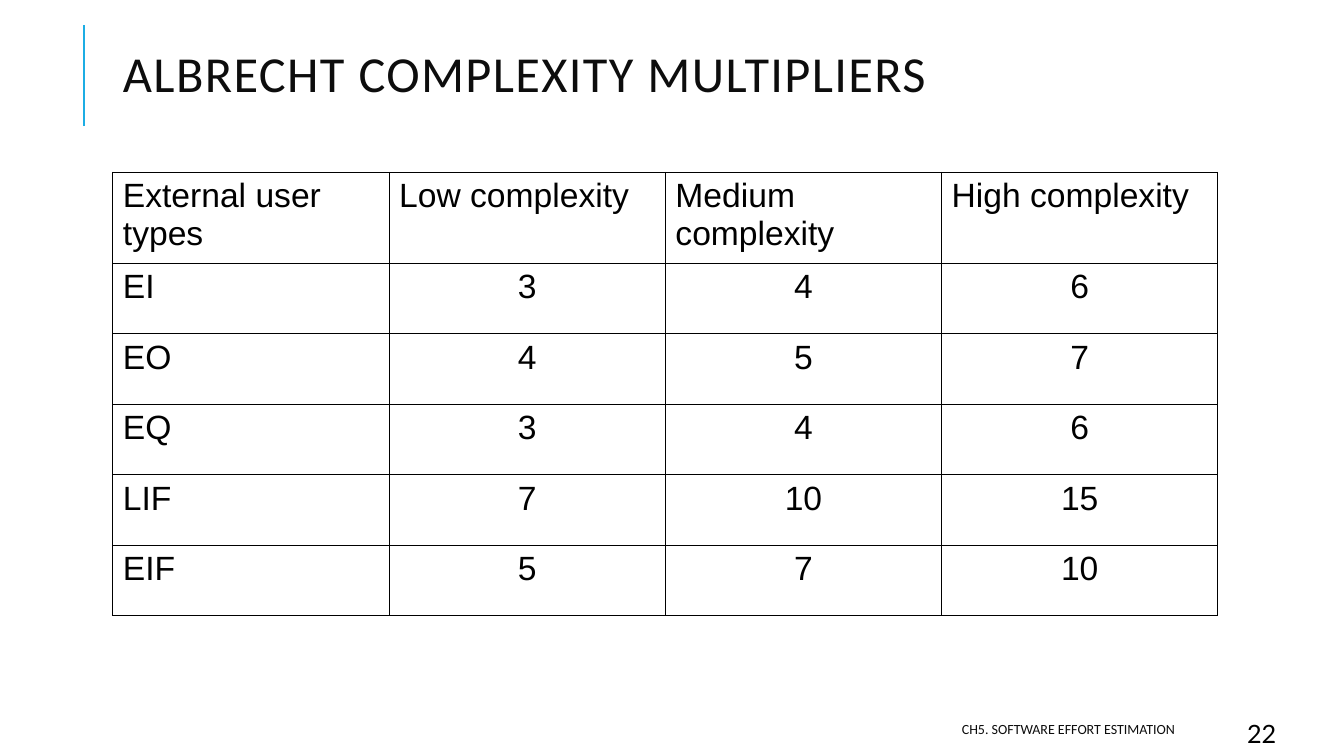
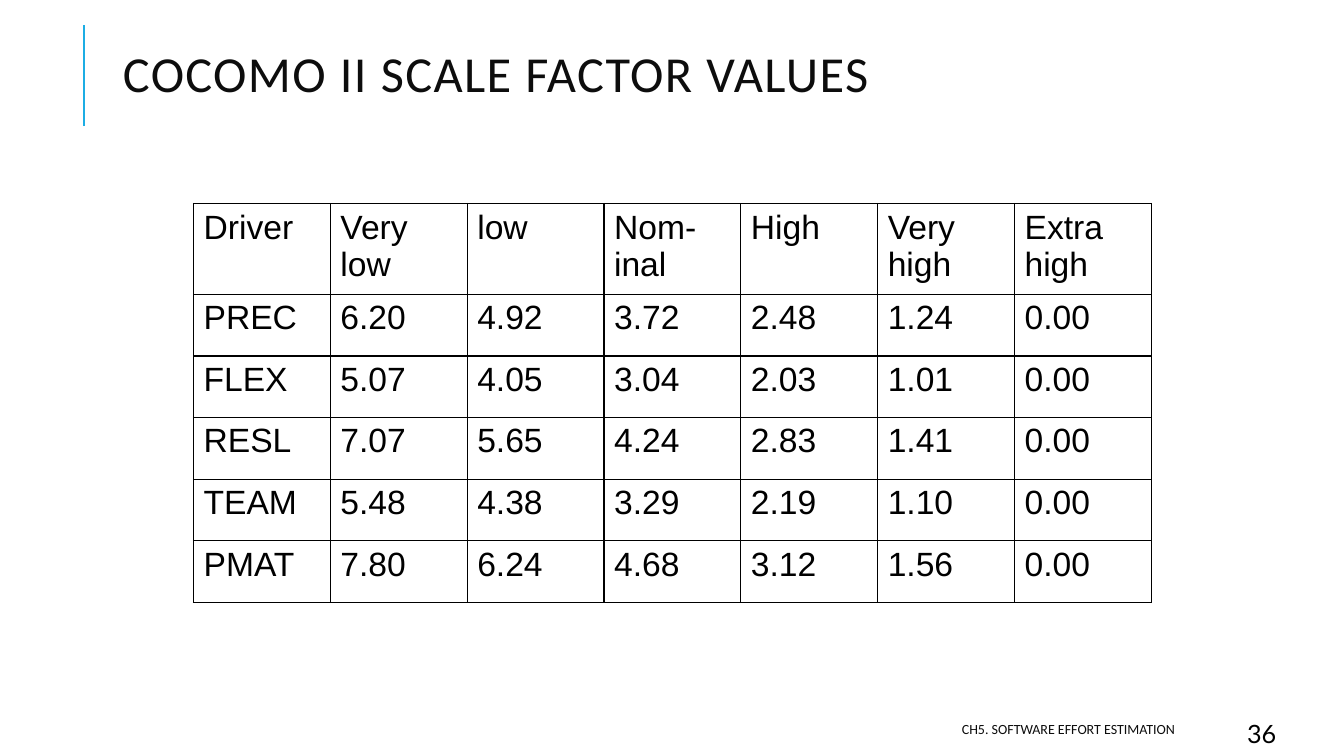
"""Build two slides of software effort estimation tables."""
from lxml import etree
from pptx import Presentation
from pptx.dml.color import RGBColor
from pptx.enum.shapes import MSO_CONNECTOR
from pptx.enum.text import MSO_ANCHOR, MSO_AUTO_SIZE, PP_ALIGN
from pptx.oxml.ns import qn
from pptx.util import Inches, Pt

LEFT, CENTER, RIGHT = PP_ALIGN.LEFT, PP_ALIGN.CENTER, PP_ALIGN.RIGHT
TOP, MIDDLE = MSO_ANCHOR.TOP, MSO_ANCHOR.MIDDLE
NO_FIT = MSO_AUTO_SIZE.NONE
STRAIGHT = MSO_CONNECTOR.STRAIGHT

BLACK = RGBColor(0x00, 0x00, 0x00)
WHITE = RGBColor(0xFF, 0xFF, 0xFF)
INK = RGBColor(0x0D, 0x0D, 0x0D)
ACCENT = RGBColor(0x1C, 0xAD, 0xE4)

FOOTER = "CH5. SOFTWARE EFFORT ESTIMATION"
COMPLEXITY = [
    ["External user types", "Low complexity", "Medium complexity", "High complexity"],
    ["EI", "3", "4", "6"],
    ["EO", "4", "5", "7"],
    ["EQ", "3", "4", "6"],
    ["LIF", "7", "10", "15"],
    ["EIF", "5", "7", "10"],
]
SCALE_FACTORS = [
    ["Driver", "Very low", "low", "Nom-inal", "High", "Very high", "Extra high"],
    ["PREC", "6.20", "4.92", "3.72", "2.48", "1.24", "0.00"],
    ["FLEX", "5.07", "4.05", "3.04", "2.03", "1.01", "0.00"],
    ["RESL", "7.07", "5.65", "4.24", "2.83", "1.41", "0.00"],
    ["TEAM", "5.48", "4.38", "3.29", "2.19", "1.10", "0.00"],
    ["PMAT", "7.80", "6.24", "4.68", "3.12", "1.56", "0.00"],
]


class Deck:
    """Hold the style and current slide; lengths are percent of the slide."""

    FONTS = {
        "title": {"name": "Calibri", "size": Pt(36), "color": INK},
        "footer": {"name": "Calibri", "size": Pt(10), "color": INK},
        "number": {"name": "Lato", "size": Pt(18), "color": BLACK},
        "cell": {"name": "Arial", "size": Pt(24), "color": BLACK},
    }

    def __init__(self):
        """Start an empty wide presentation."""
        self.prs = Presentation()
        self.prs.slide_width, self.prs.slide_height = Inches(13.33), Inches(7.5)
        self.slide = None

    def x(self, share):
        """Turn a percentage of the width into a length."""
        return round(self.prs.slide_width * share / 100)

    def y(self, share):
        """Turn a percentage of the height into a length."""
        return round(self.prs.slide_height * share / 100)

    def box(self, left, top, width, height):
        """Turn four percentages into a position and size."""
        return self.x(left), self.y(top), self.x(width), self.y(height)

    def add_text(self, tf, text, style, align=LEFT):
        """Fill one styled paragraph and return its paragraph and run."""
        p = tf.paragraphs[0]
        p.alignment = align
        r = p.add_run()
        r.text = text
        for name, value in self.FONTS[style].items():
            if name == "color":
                r.font.color.rgb = value
            else:
                setattr(r.font, name, value)
        return p, r

    def add_slide(self, title, number):
        """Add a slide with its title, accent line, footer and number."""
        self.slide = self.prs.slides.add_slide(self.prs.slide_layouts[5])
        self.accent_line(6.23, 3.33, 16.67)
        self.title(title)
        self.text(FOOTER, "footer", (39.76, 94.4, 48.39, 4), RIGHT, MIDDLE)
        self.text(str(number), "number", (92.05, 94.4, 7.95, 4))

    def accent_line(self, left, top, bottom):
        """Draw the vertical line beside the title."""
        sp = self.slide.shapes.add_connector(
            STRAIGHT, self.x(left), self.y(bottom), self.x(left), self.y(top))
        sp.line.color.rgb, sp.line.width = ACCENT, Pt(1.5)
        etree.SubElement(sp._element.spPr, qn("a:effectLst"))

    def title(self, text):
        """Place and format the title placeholder."""
        sp = self.slide.shapes.title
        sp.left, sp.top, sp.width, sp.height = self.box(8.4, 1.47, 88.52, 17.73)
        tf = sp.text_frame
        tf.auto_size, tf.vertical_anchor = NO_FIT, MIDDLE
        p, r = self.add_text(tf, text, "title")
        p.line_spacing = 0.8
        r._r.get_or_add_rPr().set("spc", "100")

    def text(self, text, style, place, align=LEFT, anchor=TOP):
        """Add a wrapped text box."""
        tf = self.slide.shapes.add_textbox(*self.box(*place)).text_frame
        tf.word_wrap, tf.vertical_anchor = True, anchor
        self.add_text(tf, text, style, align)

    def border(self, cell):
        """Draw a thin black line on every side of a cell."""
        for side in ("a:lnL", "a:lnR", "a:lnT", "a:lnB"):
            ln = etree.SubElement(cell._tc.get_or_add_tcPr(), qn(side), w=str(Pt(1)))
            fill = etree.SubElement(ln, qn("a:solidFill"))
            etree.SubElement(fill, qn("a:srgbClr"), val=str(BLACK))

    def table(self, rows, left, top, width, head, row, value_align=LEFT):
        """Add a ruled table with equal columns and a taller header row."""
        heights = [head] + [row] * (len(rows) - 1)
        place = self.box(left, top, width, sum(heights))
        table = self.slide.shapes.add_table(len(rows), len(rows[0]), *place).table
        table.first_row = table.horz_banding = False
        for column in table.columns:
            column.width = self.x(width / len(rows[0]))
        for i, values in enumerate(rows):
            table.rows[i].height = self.y(heights[i])
            for j, value in enumerate(values):
                cell = table.cell(i, j)
                self.border(cell)
                cell.fill.solid()
                cell.fill.fore_color.rgb = WHITE
                self.add_text(cell.text_frame, value, "cell",
                              value_align if i and j else LEFT)


def main():
    """Build and save the deck."""
    deck = Deck()
    deck.add_slide("ALBRECHT COMPLEXITY MULTIPLIERS", 22)
    deck.table(COMPLEXITY, 8.4, 22.8, 82.22, 11.2, 9.33, CENTER)
    deck.add_slide("COCOMO II SCALE FACTOR VALUES", 36)
    deck.table(SCALE_FACTORS, 14.4, 26.93, 71.27, 11.2, 8.15)
    deck.prs.save("out.pptx")


if __name__ == "__main__":
    main()
